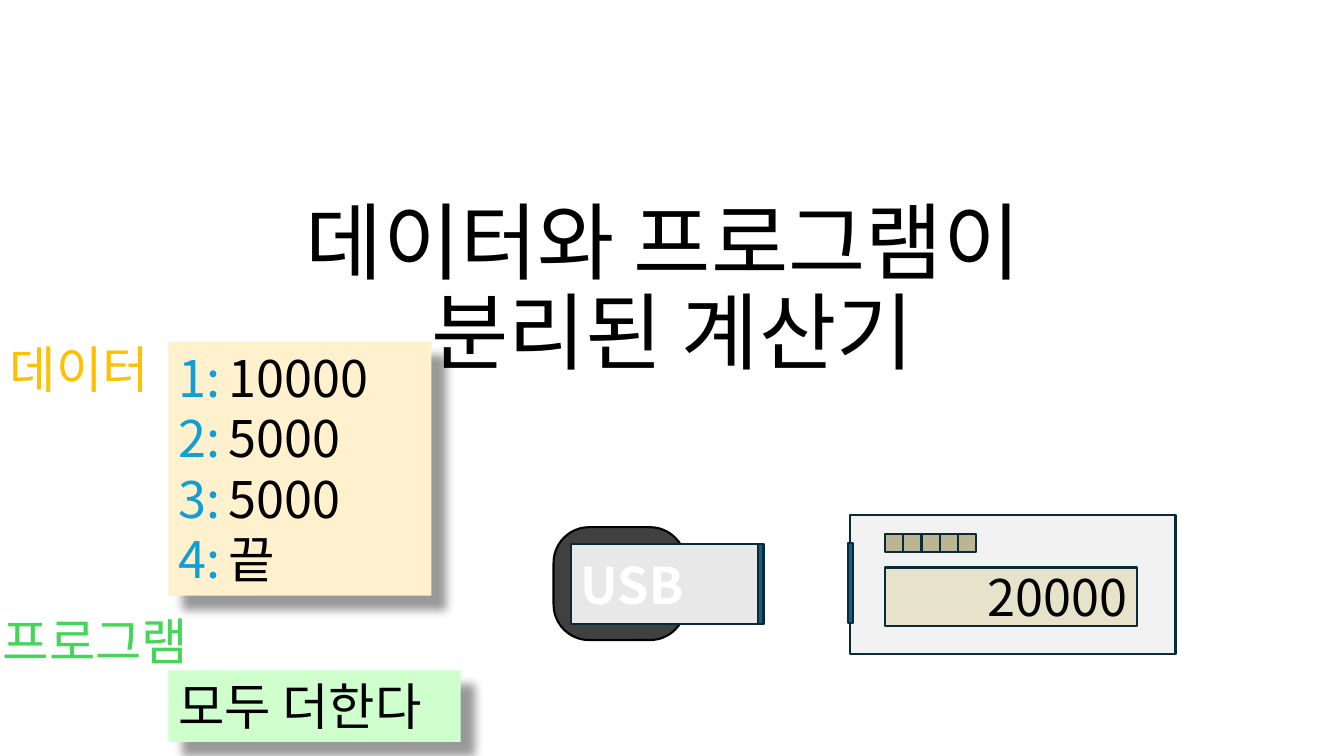
import pptx
import pptx.dml.color
import pptx.enum.shapes
import pptx.enum.text
import pptx.oxml
import pptx.oxml.ns
import pptx.util
from pptx.util import Inches

FONT = "Noto Sans CJK KR"
BLACK = "000000"
OUTLINE = "092A39"
TEAL = "156082"
LINE_NUMBER = "0F9ED5"

ALIGN = pptx.enum.text.PP_ALIGN
ANCHOR = pptx.enum.text.MSO_ANCHOR
SHAPE = pptx.enum.shapes.MSO_SHAPE


def color(hex_string):
    return pptx.dml.color.RGBColor.from_string(hex_string)


def add_box(slide, left, top, width, height, fill, line=OUTLINE, kind=SHAPE.RECTANGLE):
    shape = slide.shapes.add_shape(
        kind, Inches(left), Inches(top), Inches(width), Inches(height))
    shape.shadow.inherit = False
    shape.fill.solid()
    shape.fill.fore_color.rgb = color(fill)
    if line:
        shape.line.color.rgb = color(line)
        shape.line.width = pptx.util.Pt(1.5)
    else:
        shape.line.fill.background()
    return shape


def add_run(paragraph, text, text_color=BLACK, size=36, bold=False):
    run = paragraph.add_run()
    run.text = text
    run.font.name = FONT
    run.font.size = pptx.util.Pt(size)
    run.font.bold = bold
    run.font.color.rgb = color(text_color)
    east_asian = pptx.oxml.parse_xml(
        f'<a:ea {pptx.oxml.ns.nsdecls("a")} typeface="{FONT}"/>')
    run.font._element.find(pptx.oxml.ns.qn("a:latin")).addnext(east_asian)


def write_line(shape, text, text_color=BLACK, align=ALIGN.LEFT, bold=False):
    shape.text_frame.vertical_anchor = ANCHOR.MIDDLE
    paragraph = shape.text_frame.paragraphs[0]
    paragraph.alignment = align
    add_run(paragraph, text, text_color, bold=bold)


def add_title(slide, lines):
    box = slide.shapes.add_textbox(Inches(1.67), Inches(1.23), Inches(10), Inches(2.61))
    frame = box.text_frame
    frame.word_wrap = True
    frame.vertical_anchor = ANCHOR.BOTTOM
    paragraph = frame.paragraphs[0]
    paragraph.alignment = ALIGN.CENTER
    paragraph.line_spacing = 0.9
    for index, line in enumerate(lines):
        if index:
            paragraph.add_line_break()
        add_run(paragraph, line, size=60)


def add_label(slide, left, top, width, text, text_color):
    box = slide.shapes.add_textbox(Inches(left), Inches(top), Inches(width), Inches(0.71))
    box.text_frame.word_wrap = True
    add_run(box.text_frame.paragraphs[0], text, text_color)


def add_drop_shadow(shape):
    effects = shape._element.spPr.find(pptx.oxml.ns.qn("a:effectLst"))
    effects.append(pptx.oxml.parse_xml(
        f'<a:outerShdw {pptx.oxml.ns.nsdecls("a")} blurRad="{pptx.util.Pt(7)}" '
        f'dist="{pptx.util.Pt(14)}" dir="2700000" algn="tl" rotWithShape="0">'
        f'<a:srgbClr val="{BLACK}"><a:alpha val="40000"/></a:srgbClr></a:outerShdw>'))


def add_note(slide, top, width, height, fill, lines):
    """Add a shadowed card; each line is a list of (text, colour) runs."""
    card = add_box(slide, 1.67, top, width, height, fill, line=None)
    add_drop_shadow(card)
    frame = card.text_frame
    frame.word_wrap = False
    frame.auto_size = pptx.enum.text.MSO_AUTO_SIZE.SHAPE_TO_FIT_TEXT
    frame.vertical_anchor = ANCHOR.TOP
    for index, runs in enumerate(lines):
        paragraph = frame.add_paragraph() if index else frame.paragraphs[0]
        paragraph.alignment = ALIGN.LEFT
        for text, text_color in runs:
            add_run(paragraph, text, text_color)


def add_usb_stick(slide):
    body = add_box(slide, 5.66, 5.4, 1.92, 0.79, "E8E8E8")
    write_line(body, "USB", "FFFFFF", bold=True)
    add_box(slide, 7.52, 5.4, 0.05, 0.79, TEAL)


def add_calculator(slide):
    add_box(slide, 8.43, 5.11, 3.23, 1.38, "F2F2F2")
    display = add_box(slide, 8.78, 5.63, 2.5, 0.58, "E7E3CB")
    write_line(display, "20000", align=ALIGN.RIGHT)
    key_size = 0.18
    for key in range(5):
        add_box(slide, 8.78 + key * key_size, 5.3, key_size, key_size, "BBB593")
    add_box(slide, 8.41, 5.39, 0.05, 0.79, TEAL)


def main():
    presentation = pptx.Presentation()
    presentation.slide_width = Inches(13.33)
    presentation.slide_height = Inches(7.5)
    slide = presentation.slides.add_slide(presentation.slide_layouts[6])

    usb_cap = add_box(slide, 5.49, 5.23, 1.31, 1.12, "404040", BLACK,
                      SHAPE.ROUNDED_RECTANGLE)
    usb_cap.adjustments[0] = 0.315
    add_title(slide, ["데이터와 프로그램이 ", "분리된 계산기"])
    values = ["10000", "5000", "5000", "끝"]
    add_note(slide, 3.39, 2.61, 2.52, "FFF1CD",
             [[(f"{number}:", LINE_NUMBER), (f"\t{value}", BLACK)]
              for number, value in enumerate(values, 1)])
    add_usb_stick(slide)
    add_calculator(slide)
    add_label(slide, 0, 3.31, 1.83, "데이터", "FFC000")
    add_note(slide, 6.65, 2.9, 0.71, "CFFFCD", [[("모두 더한다", BLACK)]])
    add_label(slide, -0.07, 6, 2.26, "프로그램", "47D45A")
    presentation.save("out.pptx")


if __name__ == "__main__":
    main()
